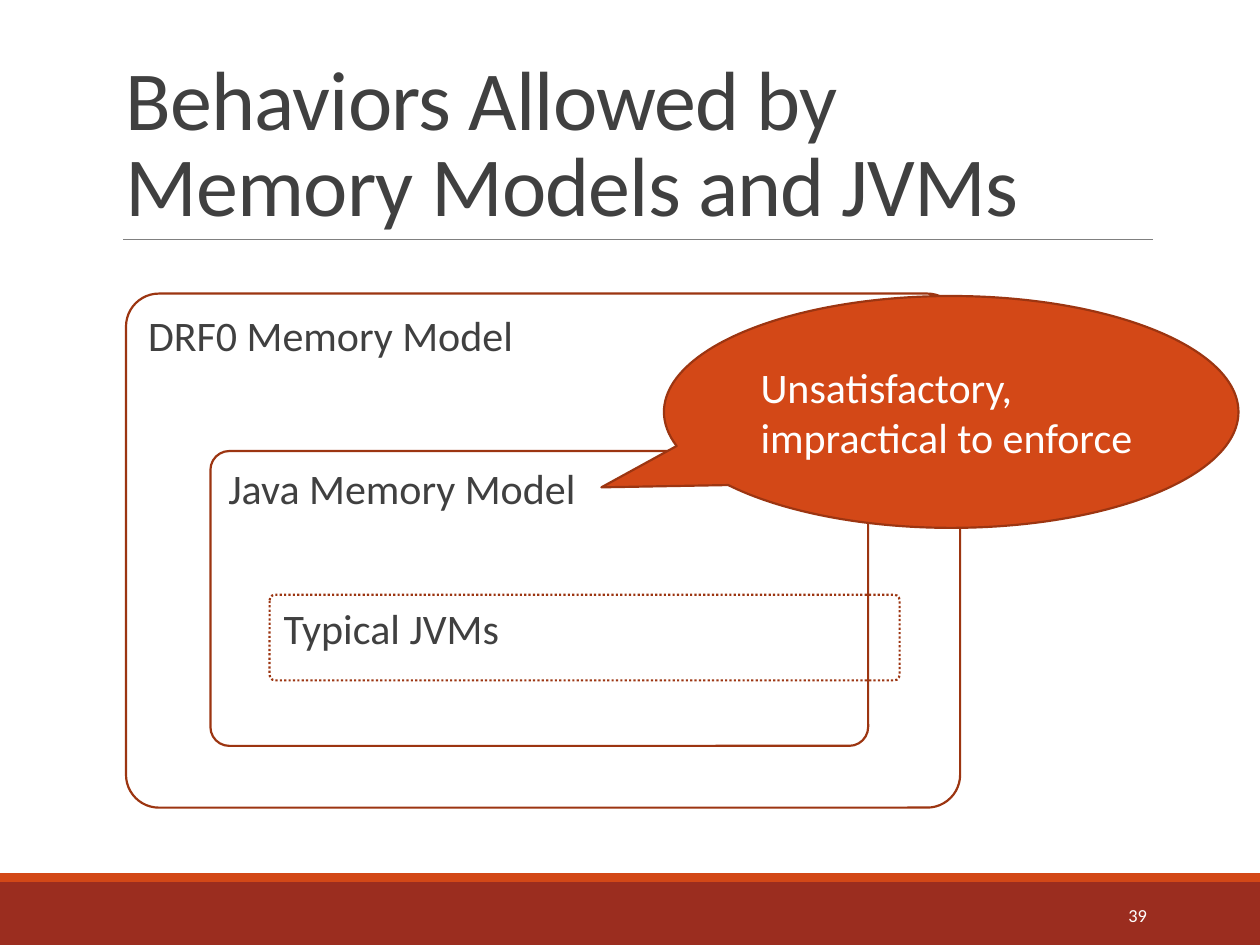
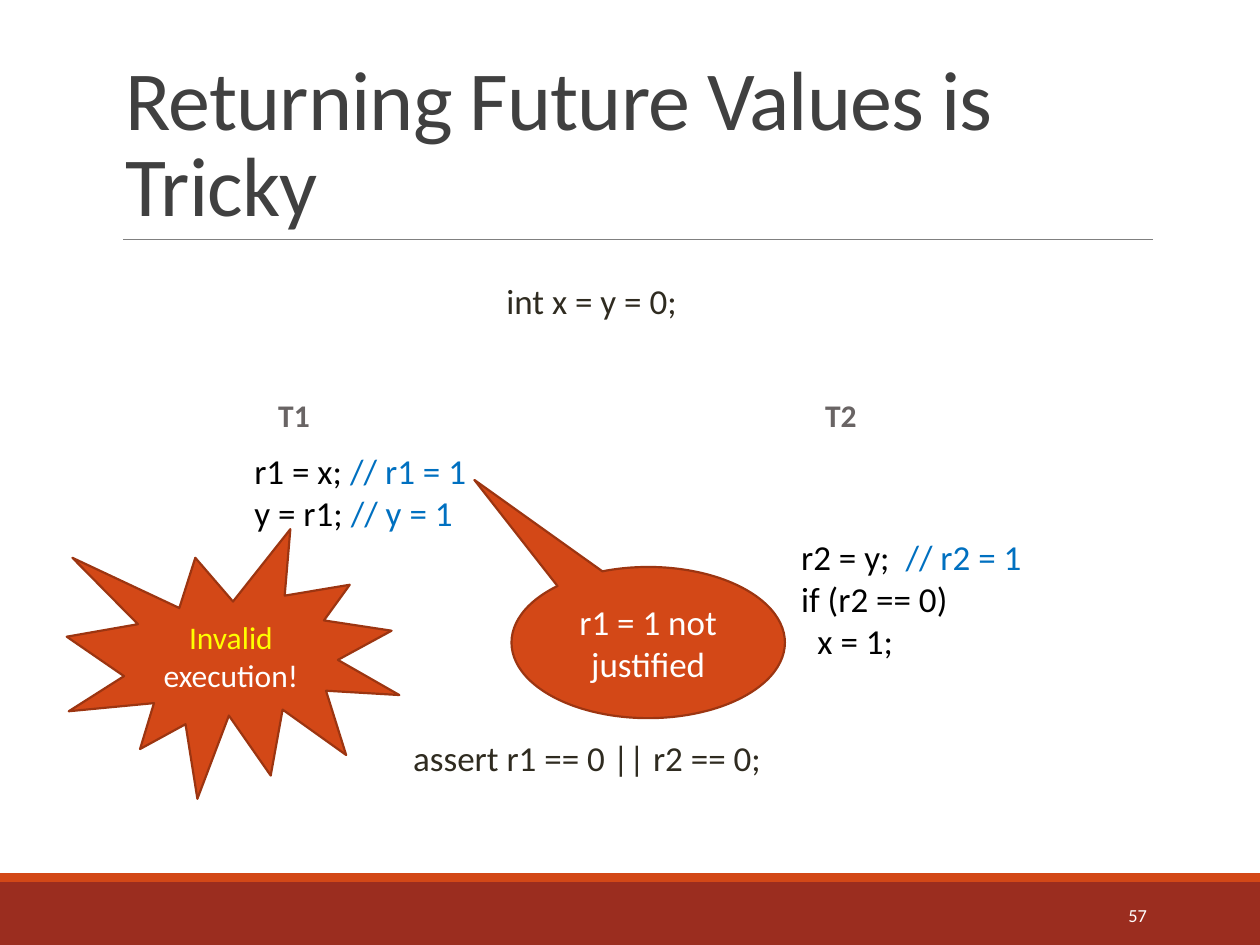
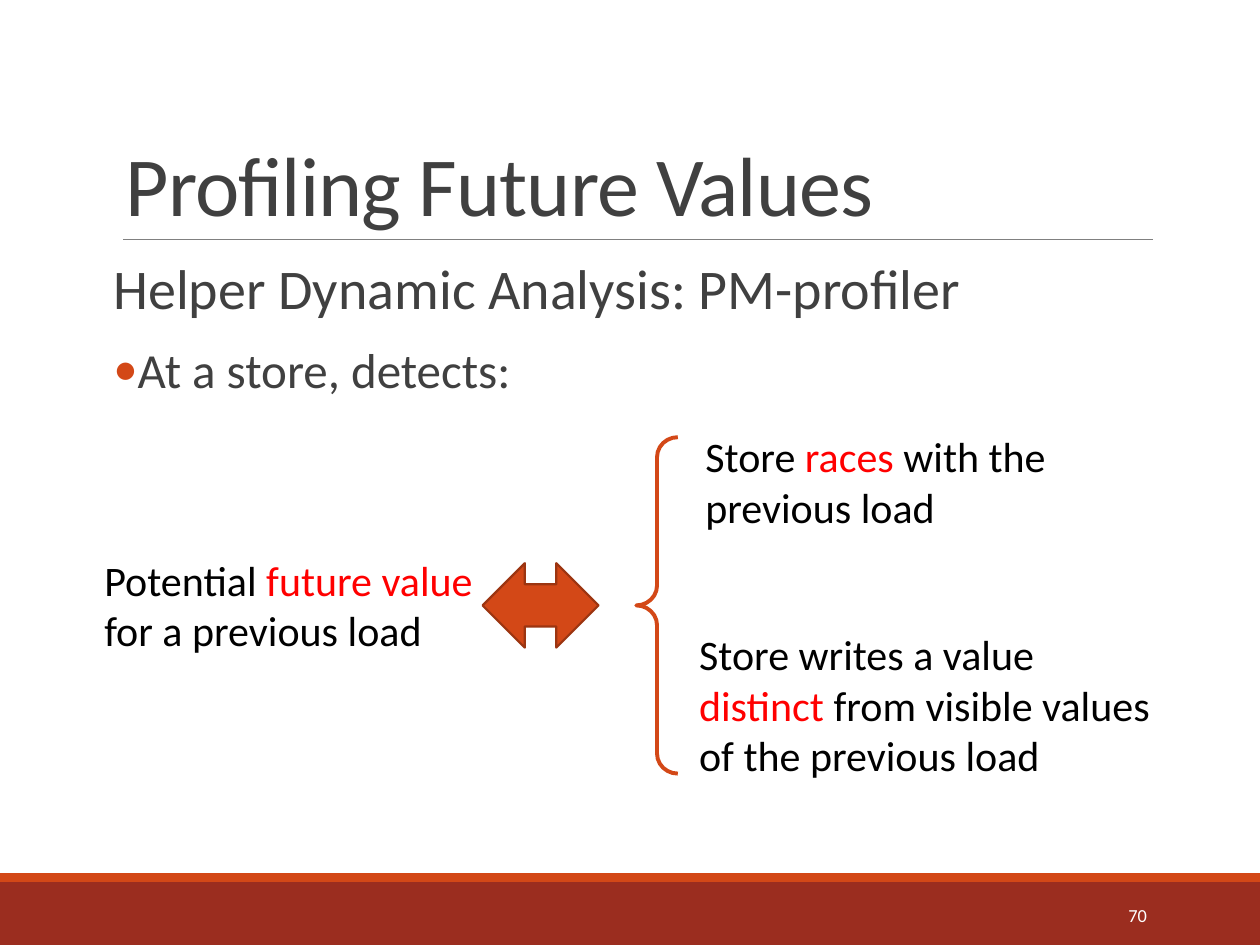
from dataclasses import dataclass
from typing import NamedTuple, Optional

from lxml.etree import SubElement
from pptx import Presentation
from pptx.dml.color import RGBColor
from pptx.enum.dml import MSO_LINE as Dash
from pptx.enum.shapes import MSO_CONNECTOR as Connector, MSO_SHAPE as Preset
from pptx.enum.text import MSO_ANCHOR as Anchor, PP_ALIGN as Align
from pptx.oxml.ns import qn
from pptx.util import Inches, Pt

# Grid: 100 columns by 75 rows, each cell a tenth of an inch
WIDTH, HEIGHT = Inches(10), Inches(7.5)
COLUMNS, ROWS = 100, 75

FONT = "Calibri"
ORANGE, BRICK, RUST = "D34817", "9B2D1F", "9C3511"
WHITE, BLACK, CHARCOAL = "FFFFFF", "000000", "404040"
GRAY, RULE_GRAY, OLIVE = "696464", "808080", "2F2B20"
BLUE, RED, YELLOW = "0070C0", "FF0000", "FFFF00"


class Area(NamedTuple):
    column: float
    row: float
    columns: float
    rows: float


class Span(NamedTuple):
    text: str
    color: str = BLACK
    bold: bool = False


@dataclass(frozen=True)
class Para:
    spans: tuple[Span, ...]
    size: float
    align: Align = Align.LEFT
    line: Optional[float] = None
    before: float = 0
    after: float = 0
    tracking: float = 0
    margin: float = 0  # inches
    bullet: Optional[str] = None


@dataclass(frozen=True)
class Figure:
    preset: Preset
    area: Area
    paras: tuple[Para, ...] = ()
    fill: Optional[str] = ORANGE
    line: str = RUST
    weight: float = 1.25
    dash: Optional[Dash] = None
    adjust: tuple[float, ...] = ()
    anchor: Anchor = Anchor.MIDDLE


def rgb(color: str) -> RGBColor:
    return RGBColor.from_string(color)


def across(columns: float) -> int:
    return round(WIDTH * columns / COLUMNS)


def down(rows: float) -> int:
    return round(HEIGHT * rows / ROWS)


def place(area: Area) -> tuple[int, int, int, int]:
    return (across(area.column), down(area.row),
            across(area.columns), down(area.rows))


def plain(text: str, size: float, color: str, **style) -> Para:
    return Para((Span(text, color),), size, **style)


def write(frame, paras: tuple[Para, ...], anchor: Anchor) -> None:
    frame.word_wrap = True
    frame.vertical_anchor = anchor
    for index, para in enumerate(paras):
        target = frame.add_paragraph() if index else frame.paragraphs[0]
        target.alignment = para.align
        target.space_before, target.space_after = Pt(para.before), Pt(para.after)
        if para.line:
            target.line_spacing = para.line
        properties = target._p.get_or_add_pPr()
        if para.margin:
            properties.set("marL", str(Inches(para.margin)))
        if para.bullet:
            properties.set("indent", str(-Inches(para.margin)))
            tint = SubElement(properties, qn("a:buClr"))
            SubElement(tint, qn("a:srgbClr"), val=ORANGE)
            SubElement(properties, qn("a:buFont"), typeface=FONT)
            SubElement(properties, qn("a:buChar"), char=para.bullet)
        for span in para.spans:
            run = target.add_run()
            run.text = span.text
            run.font.name, run.font.size = FONT, Pt(para.size)
            run.font.bold = span.bold
            run.font.color.rgb = rgb(span.color)
            if para.tracking:
                run._r.get_or_add_rPr().set("spc", str(round(para.tracking * 100)))


def add_text(page, area: Area, *paras: Para, anchor: Anchor = Anchor.TOP,
             side_inset: float = 0.1) -> None:
    frame = page.shapes.add_textbox(*place(area)).text_frame
    frame.margin_left = frame.margin_right = Inches(side_inset)
    write(frame, paras, anchor)


def add_figure(page, figure: Figure) -> None:
    shape = page.shapes.add_shape(figure.preset, *place(figure.area))
    shape.shadow.inherit = False
    for index, value in enumerate(figure.adjust):
        shape.adjustments[index] = value
    if figure.fill:
        shape.fill.solid()
        shape.fill.fore_color.rgb = rgb(figure.fill)
    else:
        shape.fill.background()
    if figure.weight:
        shape.line.color.rgb = rgb(figure.line)
        shape.line.width = Pt(figure.weight)
    else:
        shape.line.fill.background()
    if figure.dash:
        shape.line.dash_style = figure.dash
    if figure.paras:
        write(shape.text_frame, figure.paras, figure.anchor)


def add_page(deck, title: str, number: int):
    """Start a page with the shared bands, rule, title and page number."""
    page = deck.slides.add_slide(deck.slide_layouts[6])
    for color, row, rows in ((BRICK, 70, 5), (ORANGE, 69.3, 0.7)):
        add_figure(page, Figure(Preset.RECTANGLE, Area(0, row, COLUMNS, rows),
                                fill=color, weight=0))
    rule = page.shapes.add_connector(Connector.STRAIGHT, across(9.8), down(19),
                                     across(91.5), down(19))
    rule.line.color.rgb, rule.line.width = rgb(RULE_GRAY), Pt(0.5)
    SubElement(rule._element.spPr, qn("a:effectLst"))
    add_text(page, Area(9, 3.1, 82.5, 15.9),
             plain(title, 48, CHARCOAL, line=0.85, tracking=-0.5),
             anchor=Anchor.BOTTOM)
    add_text(page, Area(81.2, 70.6, 10.8, 4),
             plain(str(number), 10.5, WHITE, align=Align.RIGHT),
             anchor=Anchor.MIDDLE)
    return page


def build_models(deck) -> None:
    page = add_page(deck, "Behaviors Allowed by Memory Models and JVMs", 39)
    # Nested sets of allowed behaviors
    for label, area, dash in (
        ("DRF0 Memory Model", Area(10, 23.3, 66.2, 40.8), None),
        ("Java Memory Model", Area(16.7, 35.8, 52.2, 23.4), None),
        ("Typical JVMs", Area(21.4, 47.2, 50, 6.8), Dash.ROUND_DOT),
    ):
        add_figure(page, Figure(Preset.ROUNDED_RECTANGLE, area,
                                (plain(label, 24, CHARCOAL),), fill=None,
                                dash=dash, adjust=(0.064,), anchor=Anchor.TOP))
    add_figure(page, Figure(
        Preset.OVAL_CALLOUT, Area(52.7, 23.5, 45.6, 18.4),
        (plain("Unsatisfactory, impractical to enforce", 24, WHITE),),
        adjust=(-0.609, 0.325)))


def build_future_values(deck) -> None:
    page = add_page(deck, "Returning Future Values is Tricky", 57)
    # Thread headings
    for name, column in (("T1", 21.1), ("T2", 64.5)):
        add_text(page, Area(column, 30.9, 5.3, 4),
                 Para((Span(name, GRAY, True),), 18))
    # Initial state and final assertion
    for code, area in (
        ("int x = y = 0;", Area(39.2, 21.7, 16.7, 4.4)),
        ("assert r1 == 0 || r2 == 0;", Area(31.8, 58, 30.8, 4.4)),
    ):
        add_text(page, area, plain(code, 20, OLIVE))
    # Code of the two threads
    add_text(page, Area(19.2, 35.2, 21.7, 7.7),
             Para((Span("r1 = x; "), Span("// r1 = 1", BLUE)), 20),
             Para((Span("y = r1; "), Span("// y = 1", BLUE)), 20))
    add_text(page, Area(62.6, 42, 20.4, 11.1),
             Para((Span("r2 = y;  "), Span("// r2 = 1", BLUE)), 20),
             plain("if (r2 == 0)", 20, BLACK),
             plain("x = 1;", 20, BLACK, margin=0.13))
    # Remarks
    add_figure(page, Figure(
        Preset.OVAL_CALLOUT, Area(40.6, 45, 21.7, 12),
        (plain("r1 = 1 not justified", 20, WHITE, align=Align.CENTER),),
        adjust=(-0.636, -1.076)))
    add_figure(page, Figure(
        Preset.EXPLOSION1, Area(5.3, 42, 26.4, 21.4),
        (Para((Span("Invalid", YELLOW), Span(" execution!", WHITE)), 18,
              Align.CENTER),)))


def build_profiling(deck) -> None:
    page = add_page(deck, "Profiling Future Values", 70)
    body = {"line": 0.9, "before": 12, "after": 2}
    add_text(page, Area(9, 20.2, 82.5, 44),
             plain("Helper Dynamic Analysis: PM-profiler", 32, CHARCOAL, **body),
             plain("At a store, detects:", 28, CHARCOAL, margin=0.1,
                   bullet="\u2022", **body),
             side_inset=0)
    # Statements with their key words in red
    for area, lead, key, rest in (
        (Area(7.3, 43.5, 31.7, 9.1),
         "Potential ", "future value ", "for a previous load"),
        (Area(55, 33.7, 40.4, 9.1),
         "Store ", "races ", "with the previous load"),
        (Area(54.5, 49.4, 38.9, 13.1),
         "Store writes a value ", "distinct",
         " from visible values of the previous load"),
    ):
        add_text(page, area, Para((Span(lead), Span(key, RED), Span(rest)), 24))
    # Equivalence arrow and brace
    add_figure(page, Figure(Preset.LEFT_RIGHT_ARROW, Area(38.3, 44.7, 9.2, 6.7)))
    add_figure(page, Figure(Preset.LEFT_BRACE, Area(50.5, 34.7, 3.3, 26.7),
                            fill=None, line=ORANGE, weight=2.25,
                            adjust=(0.479, 0.5)))


deck = Presentation()
deck.slide_width, deck.slide_height = WIDTH, HEIGHT
for build in (build_models, build_future_values, build_profiling):
    build(deck)
deck.save("out.pptx")
